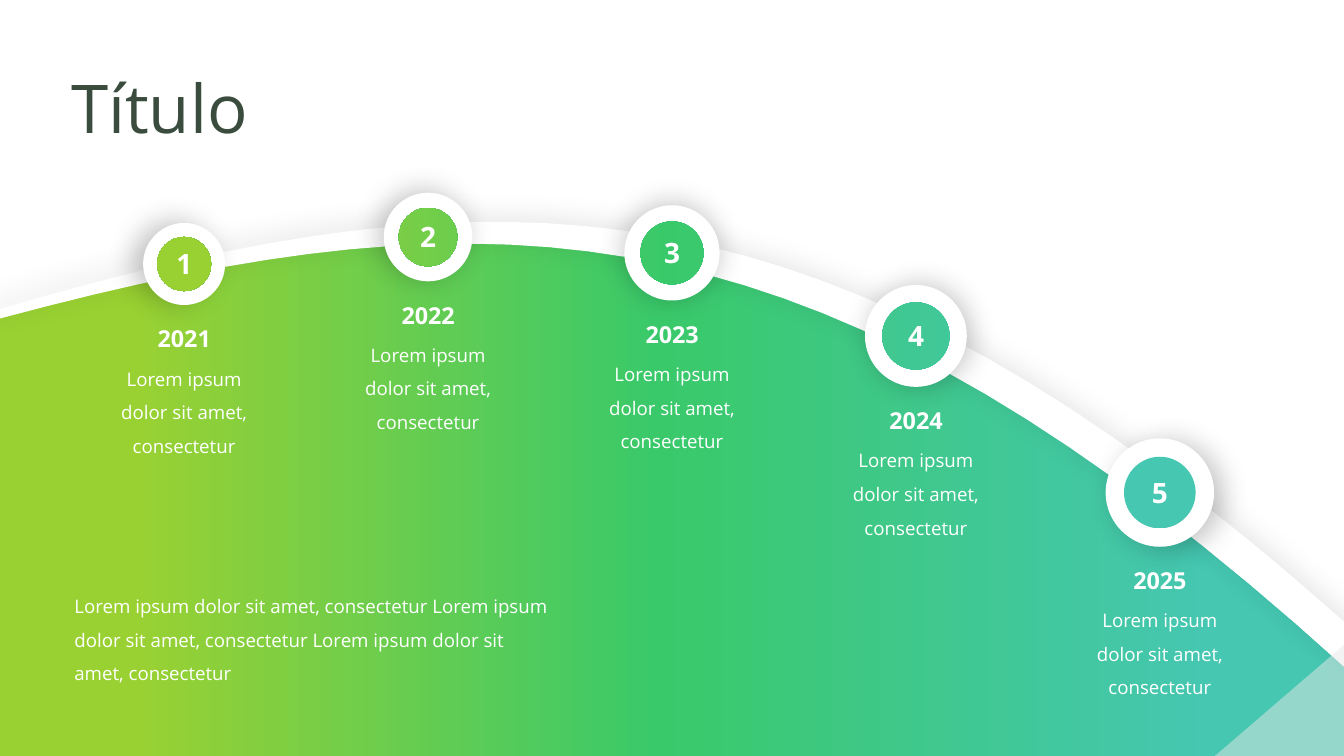
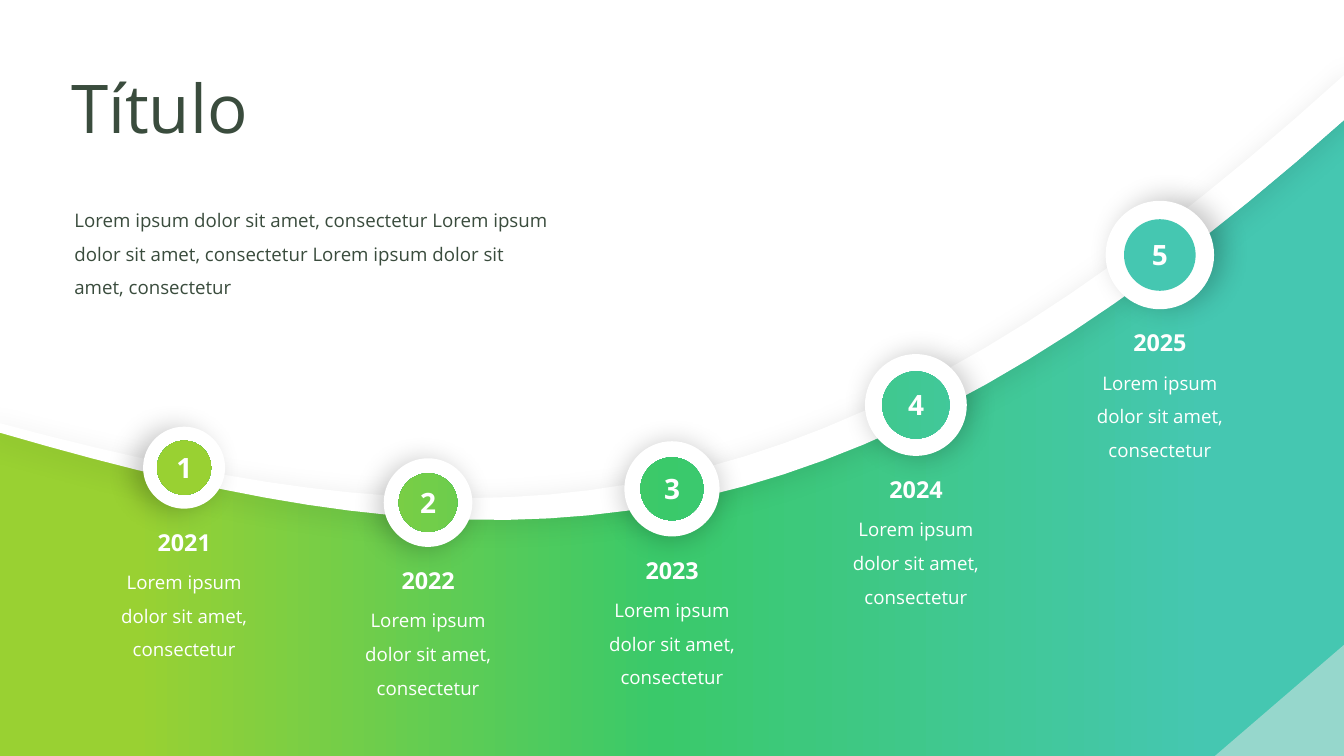
from copy import deepcopy

from lxml.etree import SubElement
from pptx import Presentation
from pptx.dml.color import RGBColor
from pptx.enum.shapes import MSO_SHAPE
from pptx.enum.text import MSO_AUTO_SIZE, PP_ALIGN
from pptx.oxml.ns import qn
from pptx.util import Cm, Pt

WHITE = RGBColor(0xFF, 0xFF, 0xFF)
DARK = RGBColor(0x3A, 0x4C, 0x3D)
GRAY = RGBColor(0xE8, 0xE8, 0xE8)
TEAL = RGBColor(0x45, 0xC7, 0xB1)
GREEN = RGBColor(0x3A, 0xC9, 0x6A)
LIME = RGBColor(0x99, 0xD1, 0x32)
GRADIENT = [(0.10, TEAL), (0.51, GREEN), (0.90, LIME)]

WIDTH, HEIGHT = 50.8, 28.58
MIRROR = 28.04
CURVE_STEPS = 32
UPPER_CURVE = [(0, 11.68), (18.95, 6.15), (31.24, 6.05), (50.8, 23.5)]
LOWER_CURVE = [(0, 12.04), (19.1, 6.91), (31.14, 7.37), (50.8, 25.2)]
CIRCLE = [(0, -1), (0.55, -1), (1, -0.55), (1, 0), (1, 0.55), (0.55, 1), (0, 1),
          (-0.55, 1), (-1, 0.55), (-1, 0), (-1, -0.55), (-0.55, -1), (0, -1)]

TITLE = {"size": Pt(72), "color": DARK}
BODY = {"size": Pt(20), "color": WHITE, "align": PP_ALIGN.CENTER, "spacing": 1.5}
YEAR = {"size": Pt(25), "color": WHITE, "align": PP_ALIGN.CENTER, "bold": True}
NUMBER = YEAR | {"size": Pt(30)}
NOTE = BODY | {"align": PP_ALIGN.LEFT}

PHRASE = "Lorem ipsum dolor sit amet, consectetur"
YEARS = ["2021", "2022", "2023", "2024", "2025"]
TIMELINES = [
    {"mirrored": False, "centers": [9.98, 8.96, 9.56, 12.7, 18.62],
     "note_top": 21.95, "note_height": 5.26, "note_color": WHITE},
    {"mirrored": True, "centers": [17.68, 19, 18.48, 15.31, 9.64],
     "note_top": 7.35, "note_height": 6.53, "note_color": DARK},
]


def add_label(page, left, top, width, height, text, style):
    box = page.shapes.add_textbox(Cm(left), Cm(top), Cm(width), Cm(height))
    box.text_frame.word_wrap = True
    box.text_frame.auto_size = MSO_AUTO_SIZE.SHAPE_TO_FIT_TEXT
    para = box.text_frame.paragraphs[0]
    para.alignment = style.get("align", PP_ALIGN.LEFT)
    para.line_spacing = style.get("spacing")
    span = para.add_run()
    span.text = text
    for name, value in {"name": "Open Sans", "size": style["size"],
                        "bold": style.get("bold", False)}.items():
        setattr(span.font, name, value)
    span.font.color.rgb = style["color"]


def add_outline(page, contours, shadow_alpha=None, curved=False):
    contours = [[(Cm(x), Cm(y)) for x, y in contour] for contour in contours]
    builder = page.shapes.build_freeform(*contours[0][0], scale=1.0)
    for index, contour in enumerate(contours):
        if index:
            builder.move_to(*contour[0])
        builder.add_line_segments(contour[1:], close=True)
    outline = builder.convert_to_shape()
    outline.line.fill.background()
    outline.shadow.inherit = False
    properties = outline._element.spPr
    if curved:
        lines = list(properties.iter(qn("a:lnTo")))
        for first, second, third in zip(lines[::3], lines[1::3], lines[2::3]):
            first.tag = qn("a:cubicBezTo")
            for line in (second, third):
                first.append(line[0])
                line.getparent().remove(line)
    if shadow_alpha:
        outline.fill.solid()
        outline.fill.fore_color.rgb = WHITE
        shadow = SubElement(properties.find(qn("a:effectLst")), qn("a:outerShdw"),
                            blurRad=str(Pt(29)), dist="0", dir="0", sx="102000", sy="102000",
                            algn="ctr", rotWithShape="0")
        color = SubElement(shadow, qn("a:srgbClr"), val="000000")
        SubElement(color, qn("a:alpha"), val=str(shadow_alpha * 1000))
    else:
        outline.fill.gradient()
        outline.fill.gradient_angle = 180
        stops = properties.find(qn("a:gradFill")).find(qn("a:gsLst"))
        stops.append(deepcopy(stops[0]))
        for stop, (position, color) in zip(outline.fill.gradient_stops, GRADIENT):
            stop.position = position
            stop.color.rgb = color


deck = Presentation()
deck.slide_width = Cm(WIDTH)
deck.slide_height = Cm(HEIGHT)

curves = []
for controls in (UPPER_CURVE, LOWER_CURVE):
    curve = []
    for step in range(CURVE_STEPS + 1):
        t = step / CURVE_STEPS
        weights = [(1 - t) ** 3, 3 * t * (1 - t) ** 2, 3 * t ** 2 * (1 - t), t ** 3]
        curve.append((sum(w * x for w, (x, y) in zip(weights, controls)),
                      sum(w * y for w, (x, y) in zip(weights, controls))))
    curves.append(curve)

for timeline in TIMELINES:
    page = deck.slides.add_slide(deck.slide_layouts[6])

    upper, lower = curves
    if timeline["mirrored"]:
        lower, upper = [[(x, MIRROR - y) for x, y in curve] for curve in curves]
    add_outline(page, [lower + [(WIDTH, HEIGHT), (0, HEIGHT)]])
    add_outline(page, [upper + lower[::-1]], shadow_alpha=10)

    milestones = [(25.4 + 9.22 * (index - 2), center, 1.55 + 0.125 * index)
                  for index, center in enumerate(timeline["centers"])]
    for year, (x, y, radius) in zip(YEARS, milestones):
        year_top = y + radius + 0.61
        add_label(page, x - 2.96, year_top + 1.2, 5.92, 3.96, PHRASE, BODY)
        add_label(page, x - 2.37, year_top, 4.75, 1.32, year, YEAR)

    add_label(page, 2.56, timeline["note_top"], 18.72, timeline["note_height"],
              " ".join([PHRASE] * 3), NOTE | {"color": timeline["note_color"]})

    for ratio, shadow_alpha in ((1, 21), (0.66, None)):
        circles = [[(x + ratio * radius * across, y + ratio * radius * down)
                    for across, down in CIRCLE] for x, y, radius in milestones]
        add_outline(page, circles, shadow_alpha, curved=True)

    for number, (x, y, radius) in enumerate(milestones, 1):
        add_label(page, x - 1.9, y - 0.78, 3.81, 1.55, str(number), NUMBER)

    corner = page.shapes.add_shape(MSO_SHAPE.ISOSCELES_TRIANGLE, Cm(45.92), Cm(24.38), Cm(4.88), Cm(4.2))
    corner.adjustments[0] = 1
    corner.shadow.inherit = False
    corner.line.fill.background()
    corner.fill.solid()
    corner.fill.fore_color.rgb = GRAY
    corner_color = corner._element.spPr.find(qn("a:solidFill"))[0]
    SubElement(corner_color, qn("a:alpha"), val="50000")

    add_label(page, 2.44, 2.39, 12.8, 3.33, "Título", TITLE)

deck.save("out.pptx")
